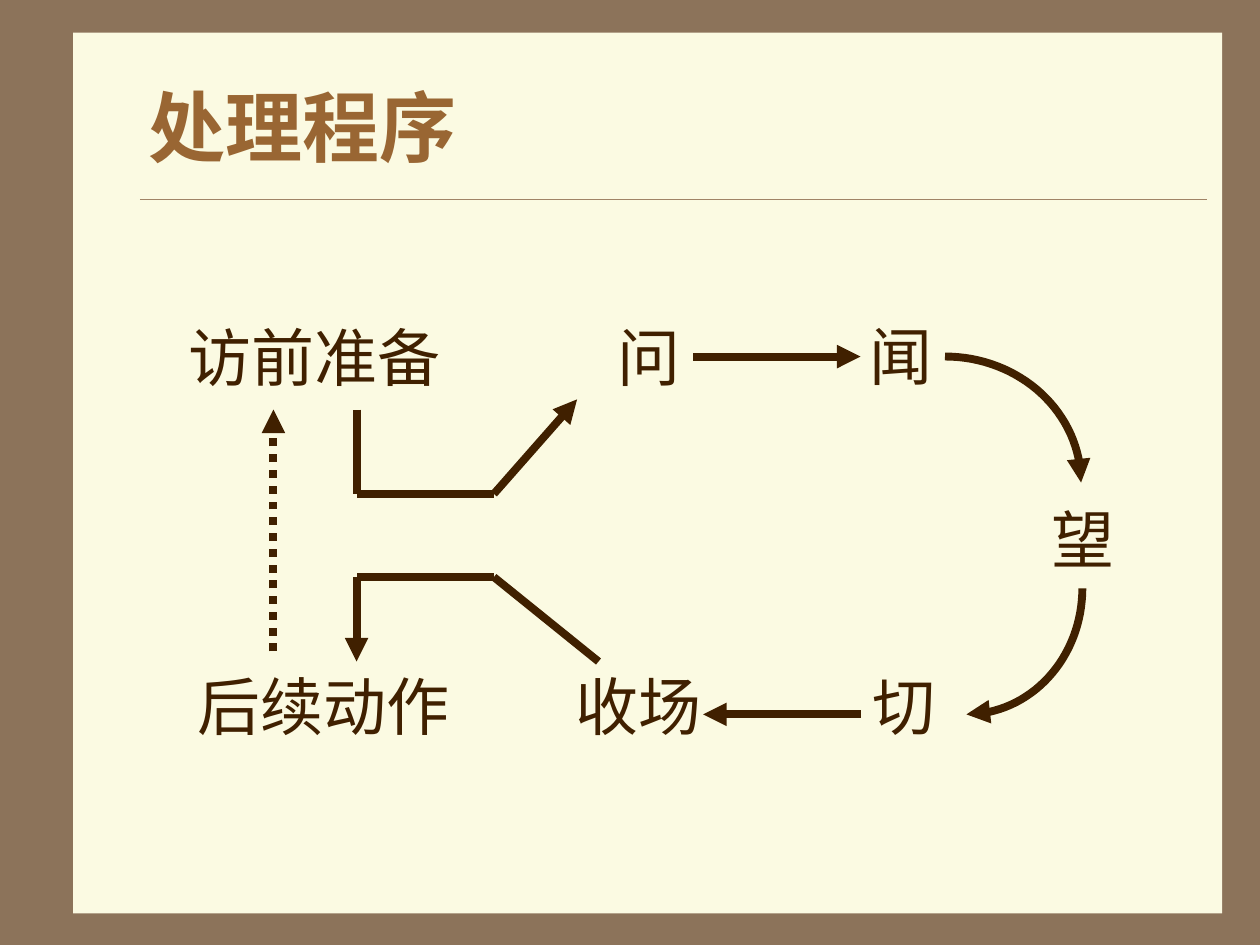
import math
import pptx
import pptx.dml.color
import pptx.enum.dml
import pptx.enum.shapes
import pptx.enum.text
import pptx.oxml
import pptx.oxml.ns
import pptx.util

Inches = pptx.util.Inches


def color(value):
    """Turn a hex string into a colour."""
    return pptx.dml.color.RGBColor.from_string(value)


class FlowSlide:
    """Hold the style and the slide, and draw each kind of element."""

    INK, TITLE, PAPER, FRAME, RULE = "402000", "996633", "FBFAE2", "8C735A", "A08366"
    STROKE = 4.5

    def __init__(self, slide):
        """Keep the slide and colour its background."""
        self.slide = slide
        slide.background.fill.solid()
        slide.background.fill.fore_color.rgb = color(self.FRAME)

    def panel(self, left, top, width, height):
        """Draw the plain sheet behind the content."""
        sheet = self.slide.shapes.add_shape(
            pptx.enum.shapes.MSO_SHAPE.RECTANGLE,
            Inches(left), Inches(top), Inches(width), Inches(height))
        sheet.shadow.inherit = False
        sheet.fill.solid()
        sheet.fill.fore_color.rgb = color(self.PAPER)
        sheet.line.fill.background()

    def text(self, words, left, top, width, height, size, font, ink, bold=False, wrap=False):
        """Write one line of text."""
        box = self.slide.shapes.add_textbox(
            Inches(left), Inches(top), Inches(width), Inches(height))
        frame = box.text_frame
        frame.word_wrap = wrap
        if wrap:
            frame.vertical_anchor = pptx.enum.text.MSO_ANCHOR.MIDDLE
        else:
            frame.auto_size = pptx.enum.text.MSO_AUTO_SIZE.SHAPE_TO_FIT_TEXT
        run = frame.paragraphs[0].add_run()
        run.text = words
        run.font.size = pptx.util.Pt(size)
        run.font.name = font
        run.font.bold = bold
        run.font.color.rgb = color(ink)

    def title(self, words):
        """Write the slide title."""
        self.text(words, 1.08, 0.5, 8.5, 1, 44, "Arial", self.TITLE, True, True)

    def step(self, words, left, top):
        """Write one step, its box as wide as its characters."""
        self.text(words, left, top, 0.2 + 0.5 * len(words), 0.7,
                  36, "Times New Roman", self.INK)

    def stroke(self, line, ink, width, arrow, dash=None):
        """Style a line and add its arrowhead."""
        line.color.rgb = color(ink)
        line.width = pptx.util.Pt(width)
        if dash:
            line.dash_style = dash
        if arrow:
            pptx.oxml.ns.qn("a:tailEnd")
            head = pptx.oxml.parse_xml(
                '<a:tailEnd %s type="triangle"/>' % pptx.oxml.ns.nsdecls("a"))
            line._get_or_add_ln().append(head)

    def line(self, start, end, arrow=False, dash=None, ink=INK, width=STROKE):
        """Draw a straight line or arrow."""
        link = self.slide.shapes.add_connector(
            pptx.enum.shapes.MSO_CONNECTOR.STRAIGHT,
            *(Inches(value) for value in (*start, *end)))
        self.stroke(link.line, ink, width, arrow, dash)
        link._element.spPr.append(pptx.oxml.parse_xml(
            "<a:effectLst %s/>" % pptx.oxml.ns.nsdecls("a")))

    def route(self, *points):
        """Draw a chain of straight lines that ends in an arrow."""
        for index in range(1, len(points)):
            self.line(points[index - 1], points[index], index == len(points) - 1)

    def curve(self, center, radii, first, last, pieces=32):
        """Draw an elliptic arrow between two angles in degrees."""
        points = []
        for piece in range(pieces + 1):
            angle = math.radians(first + (last - first) * piece / pieces)
            points.append((Inches(center[0] + radii[0] * math.cos(angle)),
                           Inches(center[1] + radii[1] * math.sin(angle))))
        builder = self.slide.shapes.build_freeform(*points[0])
        builder.add_line_segments(points[1:], close=False)
        bend = builder.convert_to_shape()
        bend.shadow.inherit = False
        bend.fill.background()
        self.stroke(bend.line, self.INK, self.STROKE, True)


deck = pptx.Presentation()
deck.slide_width, deck.slide_height = Inches(10), Inches(7.5)
flow = FlowSlide(deck.slides.add_slide(deck.slide_layouts[6]))

flow.panel(0.58, 0.26, 9.12, 6.99)
flow.line((1.11, 1.58), (9.58, 1.58), ink=flow.RULE, width=0.25)
flow.title("处理程序")

for words, left, top in [
    ("访前准备", 1.4, 2.48), ("问", 4.8, 2.48), ("闻", 6.8, 2.47), ("望", 8.25, 3.92),
    ("切", 6.83, 5.25), ("收场", 4.47, 5.25), ("后续动作", 1.47, 5.25),
]:
    flow.step(words, left, top)

flow.route((2.83, 3.25), (2.83, 3.92), (3.92, 3.92), (4.58, 3.17))
flow.route((5.5, 2.83), (6.83, 2.83))
flow.route((6.83, 5.67), (5.58, 5.67))
flow.route((4.75, 5.25), (3.92, 4.58), (2.83, 4.58), (2.83, 5.25))
flow.line((2.17, 5.17), (2.17, 3.25), True, pptx.enum.dml.MSO_LINE.ROUND_DOT)
flow.curve((7.5, 3.83), (1.08, 1), -90, 0)
flow.curve((7.67, 4.67), (0.92, 1), 0, 90)

deck.save("out.pptx")
